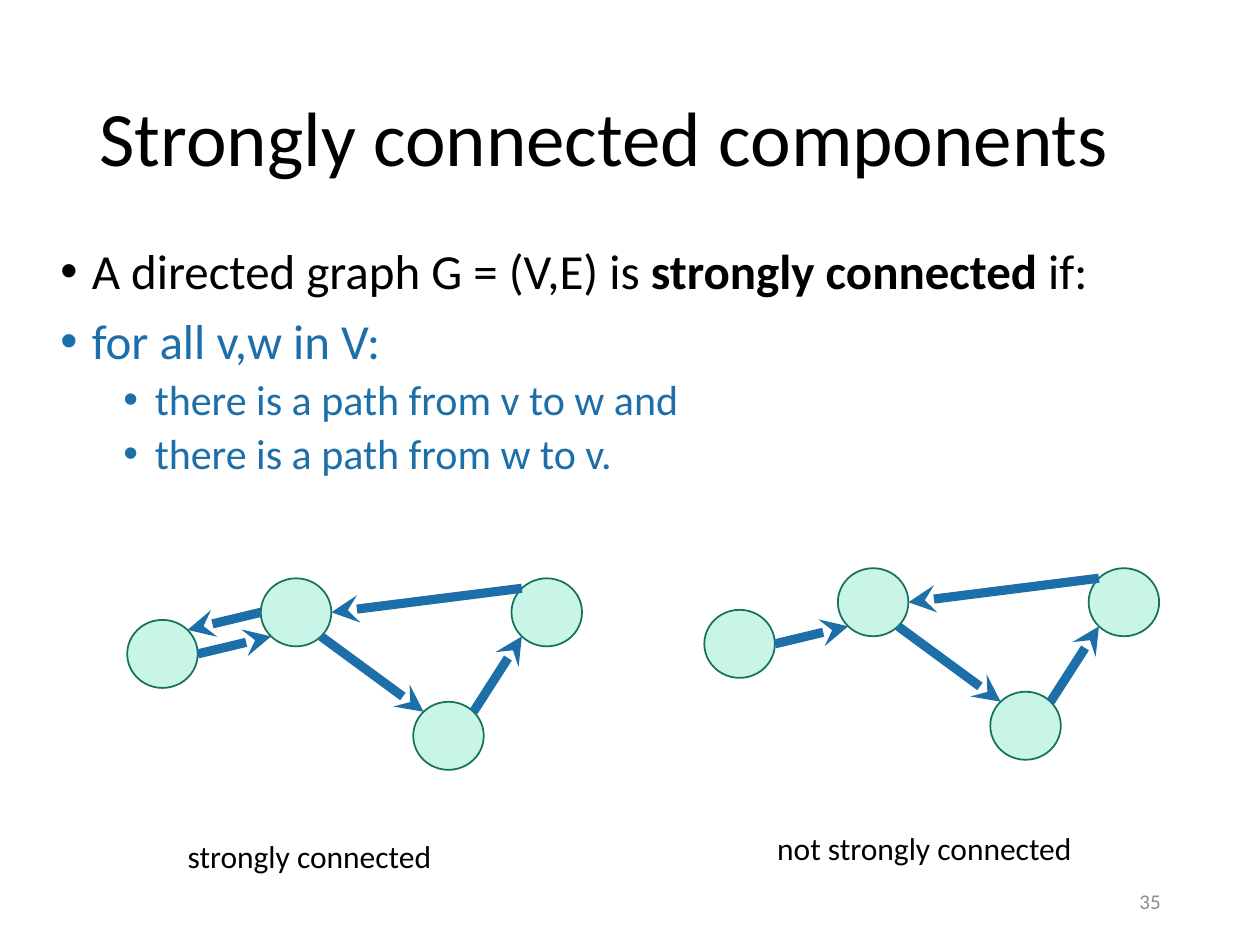
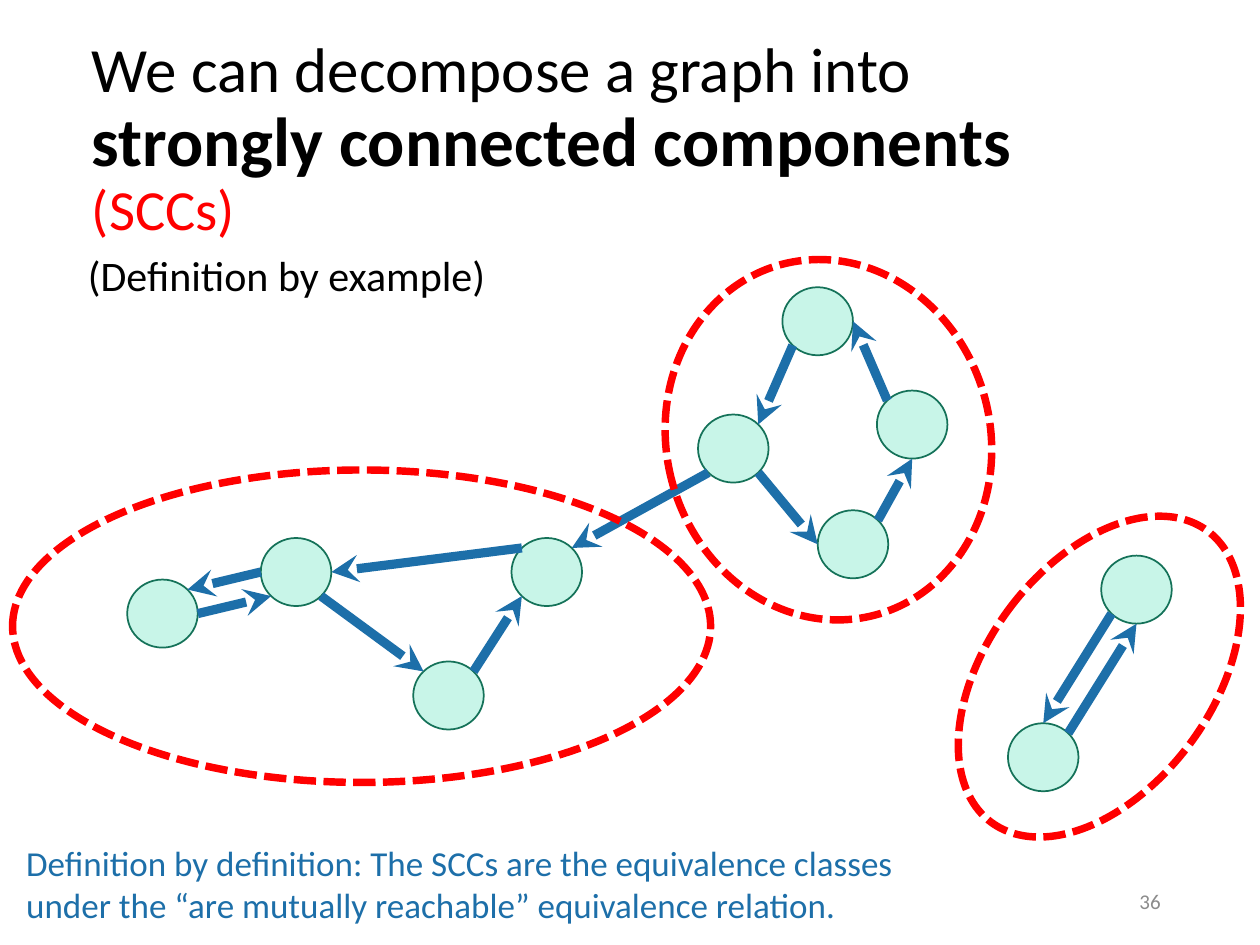
from dataclasses import dataclass
from math import cos, radians, sin

from lxml.etree import SubElement
from pptx import Presentation
from pptx.dml.color import RGBColor
from pptx.enum.dml import MSO_LINE
from pptx.enum.shapes import MSO_CONNECTOR, MSO_SHAPE
from pptx.enum.text import MSO_ANCHOR, MSO_AUTO_SIZE, PP_ALIGN
from pptx.oxml import parse_xml
from pptx.oxml.ns import nsdecls, qn
from pptx.util import Inches, Pt


@dataclass(frozen=True)
class Theme:
    font: str = "Calibri"
    black: str = "000000"
    blue: str = "1D6FA9"
    red: str = "FF0000"
    grey: str = "8C8C8C"
    node_fill: str = "C8F5E8"
    node_line: str = "157259"
    title: float = 44
    body: float = 28
    detail: float = 24
    note: float = 20
    label: float = 18
    number: float = 12
    node_width: float = 1
    edge_width: float = 5.25
    ring_width: float = 4.25


THEME = Theme()
FIRST_NUMBER = 35
NUMBER_BOX = (7.06, 6.95, 2.25, 0.4)
NODE_WIDTH, NODE_HEIGHT = 0.56, 0.54

TOP, TOP_LEFT, LEFT, BOTTOM_LEFT, BOTTOM, BOTTOM_RIGHT, RIGHT, TOP_RIGHT = range(8)

CORE_NODES = {"a": (1.01, 4.92), "b": (2.07, 4.59), "c": (3.28, 5.57), "d": (4.06, 4.59)}
ONE_WAY_EDGES = [
    ("a", RIGHT, "b", BOTTOM_LEFT),
    ("b", BOTTOM_RIGHT, "c", TOP_LEFT),
    ("c", TOP_RIGHT, "d", BOTTOM_LEFT),
    ("d", TOP_LEFT, "b", RIGHT),
]
STRONG_EDGES = ONE_WAY_EDGES + [("b", LEFT, "a", TOP_RIGHT)]


def shifted(nodes, across, down):
    return {name: (left + across, top + down) for name, (left, top) in nodes.items()}


DEFINITION = {
    "title_box": (0.69, 0.4, 8.62, 1.45),
    "title": [("Strongly connected components", THEME.title, THEME.black, False)],
    "bullets_box": (0.38, 1.91, 9.49, 2.15),
    "bullets": [
        (0, THEME.black, [("A directed graph G = (V,E) is ", False),
                          ("strongly connected", True), (" if:", False)]),
        (0, THEME.blue, [("for all v,w in V:", False)]),
        (1, THEME.blue, [("there is a path from v to w and", False)]),
        (1, THEME.blue, [("there is a path from w to v.", False)]),
    ],
    "graphs": [
        (CORE_NODES, STRONG_EDGES),
        (shifted(CORE_NODES, 4.58, -0.08), ONE_WAY_EDGES),
    ],
    "rings": [],
    "texts": [
        ((1.39, 6.59, 2.45, 0.4), "strongly connected", THEME.label, THEME.black),
        ((6.07, 6.53, 2.8, 0.4), "not strongly connected", THEME.label, THEME.black),
    ],
}

DECOMPOSITION = {
    "title_box": (0.63, 0.39, 8.62, 1.45),
    "title": [
        ("We can decompose a graph into \v", 36, THEME.black, False),
        ("strongly connected components ", 39.6, THEME.black, True),
        ("(SCCs)", 32.4, THEME.red, False),
    ],
    "bullets": [],
    "graphs": [(
        shifted(CORE_NODES, 0, -0.32) | {
            "e": (5.54, 3.29), "f": (6.21, 2.28), "g": (6.49, 4.05), "h": (6.96, 3.1),
            "i": (8, 5.74), "j": (8.74, 4.41),
        },
        STRONG_EDGES + [
            ("e", BOTTOM_RIGHT, "g", LEFT),
            ("g", TOP_RIGHT, "h", BOTTOM),
            ("h", TOP_LEFT, "f", RIGHT),
            ("f", BOTTOM_LEFT, "e", TOP_RIGHT),
            ("e", BOTTOM_LEFT, "d", TOP_RIGHT),
            ("i", TOP_RIGHT, "j", BOTTOM),
            ("j", BOTTOM_LEFT, "i", TOP),
        ],
    )],
    "rings": [
        ((0.1, 3.73, 5.54, 2.48), 0),
        ((5.29, 2.05, 2.57, 2.88), 345),
        ((7.83, 3.93, 1.79, 2.88), 36.6),
    ],
    "texts": [
        ((0.6, 1.93, 4.47, 0.5), "(Definition by example)", THEME.detail, THEME.black),
        ((0.11, 6.63, 7.46, 0.77),
         "Definition by definition: The SCCs are the equivalence classes "
         "under the “are mutually reachable” equivalence relation.",
         THEME.note, THEME.blue),
    ],
}


def color(value):
    return RGBColor.from_string(value)


def inches(values):
    return [Inches(value) for value in values]


def set_font(font, size, hue, bold=False):
    font.name, font.size, font.bold = THEME.font, Pt(size), bold
    font.color.rgb = color(hue)


def add_title(slide, box, runs):
    title = slide.shapes.title
    title.left, title.top, title.width, title.height = inches(box)
    frame = title.text_frame
    frame.auto_size = MSO_AUTO_SIZE.NONE
    frame.vertical_anchor = MSO_ANCHOR.MIDDLE
    paragraph = frame.paragraphs[0]
    paragraph.alignment = PP_ALIGN.LEFT
    paragraph.line_spacing = 0.9
    for text, size, hue, bold in runs:
        line, *rest = text.split("\v")
        run = paragraph.add_run()
        run.text = line
        set_font(run.font, size, hue, bold)
        if rest:
            paragraph.add_line_break()


def add_frame(slide, box):
    frame = slide.shapes.add_textbox(*inches(box)).text_frame
    frame.word_wrap = True
    return frame


def add_bullets(slide, box, bullets):
    frame = add_frame(slide, box)
    for index, (level, hue, runs) in enumerate(bullets):
        paragraph = frame.add_paragraph() if index else frame.paragraphs[0]
        paragraph.level = level
        paragraph.line_spacing = 0.9
        if index:
            paragraph.space_before = Pt(5 if level else 10)
        properties = paragraph._p.get_or_add_pPr()
        properties.set("marL", str(Inches(0.25 + 0.5 * level)))
        properties.set("indent", str(Inches(-0.25)))
        SubElement(properties, qn("a:buFont")).set("typeface", "Arial")
        SubElement(properties, qn("a:buChar")).set("char", "•")
        for text, bold in runs:
            run = paragraph.add_run()
            run.text = text
            set_font(run.font, THEME.detail if level else THEME.body, hue, bold)


def add_text(slide, box, text, size, hue):
    frame = add_frame(slide, box)
    frame.auto_size = MSO_AUTO_SIZE.SHAPE_TO_FIT_TEXT
    paragraph = frame.paragraphs[0]
    paragraph.text = text
    set_font(paragraph.font, size, hue)


def add_number(slide, number):
    frame = add_frame(slide, NUMBER_BOX)
    frame.vertical_anchor = MSO_ANCHOR.MIDDLE
    paragraph = frame.paragraphs[0]
    paragraph.alignment = PP_ALIGN.RIGHT
    paragraph._p.append(parse_xml(
        f'<a:fld {nsdecls("a")} id="{{B6F15528-21DE-4FAA-801E-634DDDAF4B2B}}" type="slidenum">'
        f'<a:rPr lang="en-US" sz="{THEME.number * 100}"><a:solidFill>'
        f'<a:srgbClr val="{THEME.grey}"/></a:solidFill>'
        f'<a:latin typeface="{THEME.font}"/></a:rPr><a:t>{number}</a:t></a:fld>'))


def add_ellipse(slide, box, hue, width):
    ellipse = slide.shapes.add_shape(MSO_SHAPE.OVAL, *inches(box))
    ellipse.shadow.inherit = False
    ellipse.line.color.rgb = color(hue)
    ellipse.line.width = Pt(width)
    return ellipse


def add_node(slide, position):
    node = add_ellipse(slide, (*position, NODE_WIDTH, NODE_HEIGHT),
                       THEME.node_line, THEME.node_width)
    node.fill.solid()
    node.fill.fore_color.rgb = color(THEME.node_fill)
    return node


def add_ring(slide, box, rotation):
    ring = add_ellipse(slide, box, THEME.red, THEME.ring_width)
    ring.fill.background()
    ring.line.dash_style = MSO_LINE.SQUARE_DOT
    ring.rotation = rotation


def site_point(node, site):
    angle = radians(90 + 45 * site)
    return (int(node.left + node.width / 2 * (1 + cos(angle))),
            int(node.top + node.height / 2 * (1 - sin(angle))))


def add_edge(slide, start, start_site, end, end_site):
    edge = slide.shapes.add_connector(
        MSO_CONNECTOR.STRAIGHT, *site_point(start, start_site), *site_point(end, end_site))
    edge.line.color.rgb = color(THEME.blue)
    edge.line.width = Pt(THEME.edge_width)
    SubElement(edge.line._get_or_add_ln(), qn("a:tailEnd")).set("type", "stealth")
    SubElement(edge._element.spPr, qn("a:effectLst"))
    joints = edge._element.find(".//" + qn("p:cNvCxnSpPr"))
    for tag, node, site in (("a:stCxn", start, start_site), ("a:endCxn", end, end_site)):
        joint = SubElement(joints, qn(tag))
        joint.set("id", str(node.shape_id))
        joint.set("idx", str(site))


def add_graph(slide, positions, edges):
    nodes = {name: add_node(slide, position) for name, position in positions.items()}
    for start, start_site, end, end_site in edges:
        add_edge(slide, nodes[start], start_site, nodes[end], end_site)


def build_slide(presentation, content, number):
    slide = presentation.slides.add_slide(presentation.slide_layouts[5])
    add_title(slide, content["title_box"], content["title"])
    if content["bullets"]:
        add_bullets(slide, content["bullets_box"], content["bullets"])
    for positions, edges in content["graphs"]:
        add_graph(slide, positions, edges)
    for box, rotation in content["rings"]:
        add_ring(slide, box, rotation)
    for text in content["texts"]:
        add_text(slide, *text)
    add_number(slide, number)


def main():
    presentation = Presentation()
    presentation.slide_width, presentation.slide_height = Inches(10), Inches(7.5)
    presentation.element.set("firstSlideNum", str(FIRST_NUMBER))
    for number, content in enumerate((DEFINITION, DECOMPOSITION), FIRST_NUMBER):
        build_slide(presentation, content, number)
    presentation.save("out.pptx")


if __name__ == "__main__":
    main()
